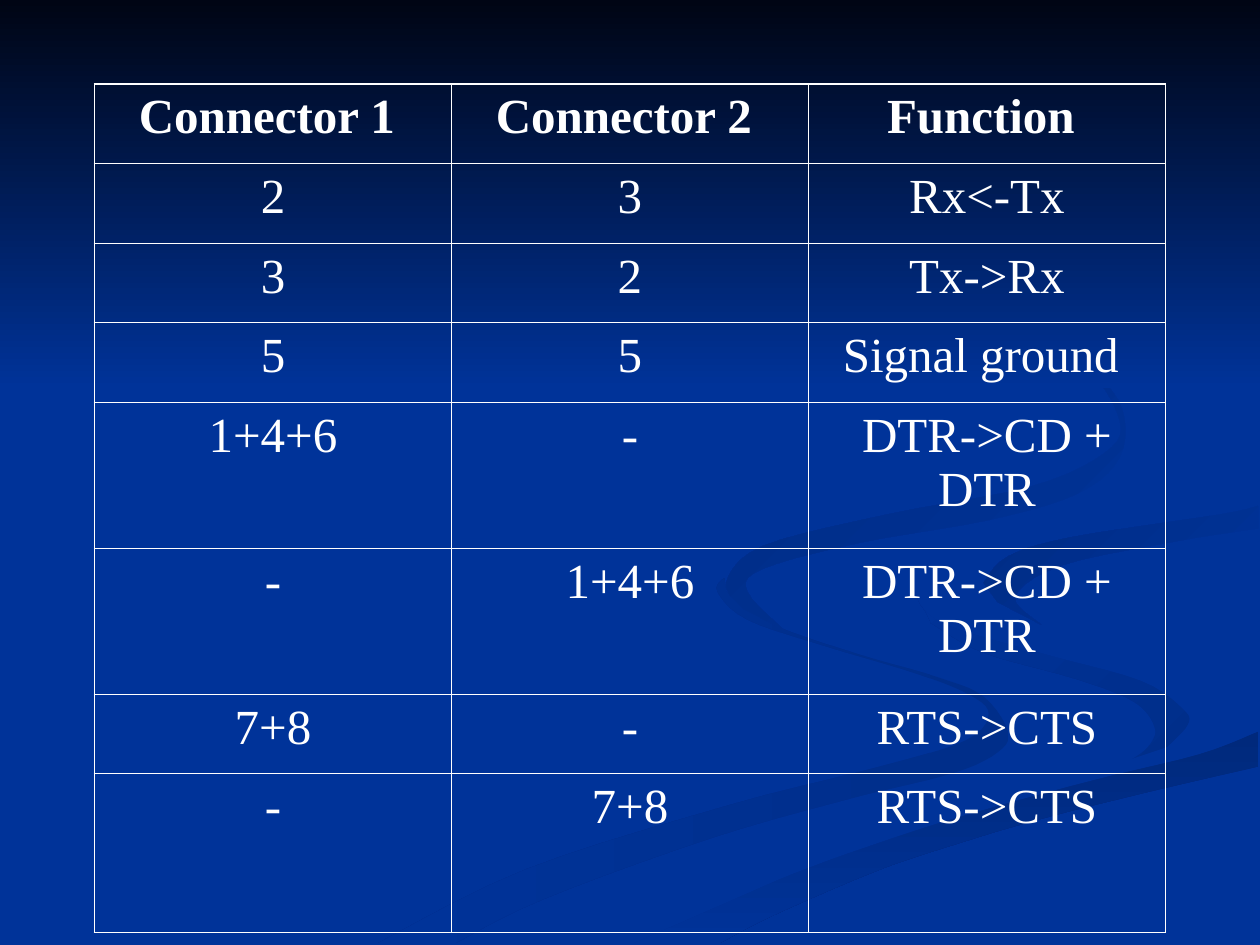
from itertools import pairwise

from pptx import Presentation
from pptx.dml.color import RGBColor
from pptx.enum.text import PP_ALIGN
from pptx.oxml import parse_xml
from pptx.oxml.ns import nsdecls
from pptx.util import Pt

WHITE, BLUE = "FFFFFF", "003399"
TENTHS = 10
STEPS = 5


def rgb(value):
    return RGBColor.from_string(value)


def smooth(knots):
    padded = [knots[0], *knots, knots[-1]]
    curve = []
    for i, (start, end) in enumerate(pairwise(knots)):
        before, after = padded[i], padded[i + 3]
        for step in range(STEPS):
            t = step / STEPS
            curve.append([
                TENTHS * (b + t * (c - a) / 2
                          + t ** 2 * (2 * a - 5 * b + 4 * c - d) / 2
                          + t ** 3 * (3 * b - a - 3 * c + d) / 2)
                for a, b, c, d in zip(before, start, end, after)])
    return curve + [[TENTHS * v for v in knots[-1]]]


prs = Presentation()
prs.slide_width, prs.slide_height = Pt(720), Pt(540)
s = prs.slides.add_slide(prs.slide_layouts[6])
s.background.fill.solid()
s.background.fill.fore_color.rgb = rgb(BLUE)

edges = {
    "lower left": [(414, 330), (410, 338), (427, 354), (471, 369), (524, 385), (554, 397),
                   (565, 408), (552, 423), (503, 438), (417, 460), (300, 497), (216, 539)],
    "lower right": [(260, 539), (310, 514), (406, 479), (487, 456), (544, 442), (570, 430),
                    (576, 418), (562, 398), (536, 387), (491, 374), (442, 357), (415, 338)],
    "curl right": [(522, 334), (528, 348), (546, 359), (598, 374), (652, 389), (676, 405),
                   (679, 414), (667, 427)],
    "curl left": [(644, 436), (656, 427), (660, 416), (648, 401), (615, 388), (562, 373),
                  (532, 356)],
    "wide bottom": [(634, 438), (585, 450), (535, 463), (477, 481), (413, 506), (343, 539)],
    "sweep top": [(362, 539), (410, 518), (454, 499), (501, 482), (551, 466), (624, 446),
                  (685, 431), (719, 418)],
    "sweep bottom": [(719, 438), (650, 454), (591, 469), (541, 484), (500, 498), (442, 523),
                     (411, 539)],
    "wide right": [(719, 387), (651, 374), (588, 354), (562, 333)],
    "wide top": [(719, 279), (662, 289), (567, 304), (527, 321), (522, 334)],
    "tail top": [(562, 333), (576, 318), (612, 307), (697, 294), (719, 289)],
    "tail bottom": [(719, 302), (674, 309), (607, 323), (580, 341), (595, 357)],
    "tail left": [(570, 344), (562, 333)],
    "upper right": [(549, 168), (591, 188), (622, 210), (641, 233), (640, 261), (616, 282),
                    (566, 297), (492, 310), (436, 325), (427, 338), (448, 360)],
    "upper left": [(425, 348), (415, 333), (436, 312), (507, 294), (589, 278), (631, 259),
                   (640, 241), (621, 210), (580, 183)],
    "band top": [(0, 0), (720, 0)],
    "band bottom": [(720, 222), (0, 222)],
}
backdrop = [
    (["lower left", "lower right"], "002E8A", BLUE, 180),
    (["curl right", "curl left"], "002E8A", BLUE, 225),
    (["sweep top", "sweep bottom"], "00297C", BLUE, 90),
    (["curl right", "wide bottom", "sweep top", "wide right", "tail top", "wide top"],
     BLUE, BLUE, None),
    (["tail top", "tail bottom", "tail left"], BLUE, "002C85", 225),
    (["upper right", "upper left"], BLUE, "002B81", 225),
    (["band top", "band bottom"], "000514", BLUE, 90),
]
for names, start, end, angle in backdrop:
    outline = [point for name in names for point in smooth(edges[name])]
    fb = s.shapes.build_freeform(*outline[0], scale=Pt(1) / TENTHS)
    fb.add_line_segments(outline[1:], close=True)
    sp = fb.convert_to_shape()
    sp.shadow.inherit = False
    sp.line.fill.background()
    if angle is None:
        sp.fill.solid()
        sp.fill.fore_color.rgb = rgb(start)
    else:
        sp.fill.gradient()
        sp.fill.gradient_angle = 360 - angle
        for stop, color in zip(sp.fill.gradient_stops, (start, end)):
            stop.color.rgb = rgb(color)

rows = [
    ("Connector 1 ", "Connector 2 ", "Function "),
    ("2", "3", "Rx<-Tx"),
    ("3", "2", "Tx->Rx"),
    ("5", "5", "Signal ground "),
    ("1+4+6", "-", "DTR->CD + DTR"),
    ("-", "1+4+6", "DTR->CD + DTR"),
    ("7+8", "-", "RTS->CTS"),
    ("-", "7+8", "RTS->CTS"),
]
heights = [45.5] * 4 + [83.5] * 2 + [45, 91]
last_row, last_col = len(rows) - 1, len(rows[0]) - 1
table = s.shapes.add_table(len(rows), len(rows[0]), Pt(54), Pt(48),
                           Pt(612), Pt(sum(heights))).table
table.first_row = table.horz_banding = False

for i, (values, height) in enumerate(zip(rows, heights)):
    table.rows[i].height = Pt(height)
    for j, value in enumerate(values):
        cell = table.cell(i, j)
        cell.fill.background()
        p = cell.text_frame.paragraphs[0]
        p.text = value
        p.alignment = PP_ALIGN.CENTER
        r = p.runs[0]
        r.font.name = "Times New Roman"
        r.font.size = Pt(28)
        r.font.bold = i == 0
        r.font.color.rgb = rgb(WHITE)
        outer_sides = {"lnL": j == 0, "lnR": j == last_col,
                       "lnT": i == 0, "lnB": i == last_row}
        tcPr = cell._tc.get_or_add_tcPr()
        for k, (side, outer) in enumerate(outer_sides.items()):
            width = Pt(1.08 if outer else 0.45)
            tcPr.insert(k, parse_xml(
                f'<a:{side} {nsdecls("a")} w="{width}"><a:solidFill>'
                f'<a:srgbClr val="{WHITE}"/></a:solidFill></a:{side}>'))

prs.save("out.pptx")
